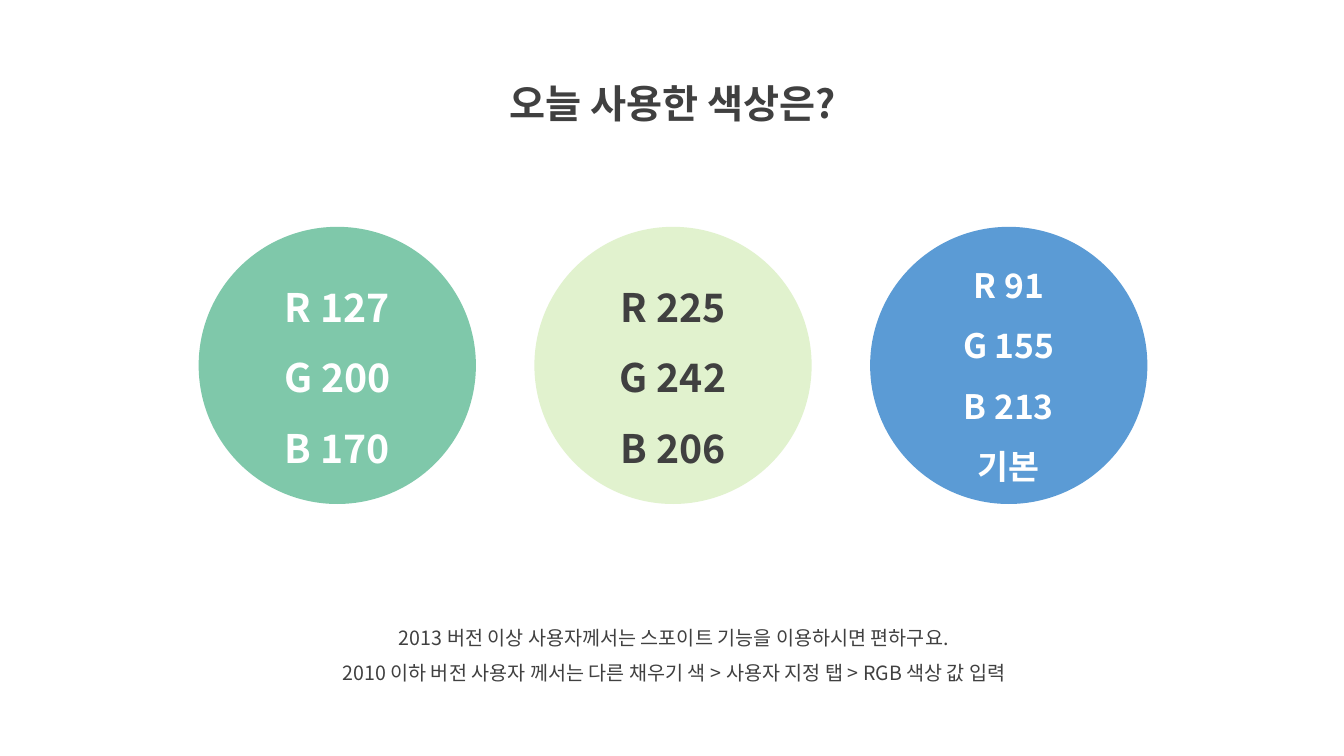
"""Build a slide that lists the RGB values of three colours."""
import dataclasses

import pptx
import pptx.dml.color
import pptx.enum.shapes
import pptx.enum.text
import pptx.oxml
import pptx.oxml.ns
import pptx.util

PX = 9144
FONT = "Noto Sans CJK KR"
DARK = "404040"
WHITE = "FFFFFF"
CIRCLE_LEFT, CIRCLE_TOP, CIRCLE_SIZE, CIRCLE_PITCH = 197, 225, 275, 333


@dataclasses.dataclass(frozen=True)
class Swatch:
    fill: str
    text_color: str
    size: int
    lines: tuple[str, ...]


SWATCHES = (
    Swatch("7FC8AA", WHITE, 28, ("R 127", "G 200", "B 170")),
    Swatch("E1F2CE", DARK, 28, ("R 225", "G 242", "B 206")),
    Swatch("5B9BD5", WHITE, 24, ("R 91", "G 155", "B 213", "기본")),
)
TITLE = "오늘 사용한 색상은?"
NOTES = (
    "2013 버전 이상 사용자께서는 스포이트 기능을 이용하시면 편하구요.",
    "2010 이하 버전 사용자 께서는 다른 채우기 색 > 사용자 지정 탭 > RGB 색상 값 입력",
)


def px(n: int) -> pptx.util.Emu:
    """Convert px to EMU."""
    return pptx.util.Emu(n * PX)


def rgb(color: str) -> pptx.dml.color.RGBColor:
    """Convert a hex string to a colour."""
    return pptx.dml.color.RGBColor.from_string(color)


def write(sp, lines: tuple[str, ...], size: int, color: str, bold: bool,
          anchor: pptx.enum.text.MSO_ANCHOR) -> None:
    """Fill a shape with centred lines of text."""
    tf = sp.text_frame
    tf.text = "\n".join(lines)
    tf.word_wrap = True
    tf.vertical_anchor = anchor
    tf.auto_size = pptx.enum.text.MSO_AUTO_SIZE.NONE
    for p in tf.paragraphs:
        p.alignment = pptx.enum.text.PP_ALIGN.CENTER
        p.line_spacing = 1.5
        for r in p.runs:
            r.font.name = FONT
            r.font.size = pptx.util.Pt(size)
            r.font.bold = bold
            r.font.color.rgb = rgb(color)
            ea = pptx.oxml.parse_xml(
                f'<a:ea {pptx.oxml.ns.nsdecls("a")} typeface="{FONT}"/>')
            r.font._element.append(ea)


def add_swatch(s, swatch: Swatch, left: int) -> None:
    """Draw one coloured circle with its values."""
    sp = s.shapes.add_shape(pptx.enum.shapes.MSO_SHAPE.OVAL, px(left), px(CIRCLE_TOP),
                            px(CIRCLE_SIZE), px(CIRCLE_SIZE))
    sp.shadow.inherit = False
    sp.fill.solid()
    sp.fill.fore_color.rgb = rgb(swatch.fill)
    sp.line.fill.background()
    write(sp, swatch.lines, swatch.size, swatch.text_color, True,
          pptx.enum.text.MSO_ANCHOR.MIDDLE)


def main() -> None:
    """Build and save the slide."""
    prs = pptx.Presentation()
    prs.slide_width, prs.slide_height = px(1333), px(750)
    s = prs.slides.add_slide(prs.slide_layouts.get_by_name("Title Only"))
    top = pptx.enum.text.MSO_ANCHOR.TOP

    title = s.shapes.title
    title.left, title.top, title.width, title.height = map(px, (436, 50, 463, 72))
    write(title, (TITLE,), 28, DARK, True, top)

    notes = s.shapes.add_textbox(*map(px, (269, 604, 799, 81)))
    write(notes, NOTES, 14, DARK, False, top)

    for i, swatch in enumerate(SWATCHES):
        add_swatch(s, swatch, CIRCLE_LEFT + i * CIRCLE_PITCH)

    prs.save("out.pptx")


if __name__ == "__main__":
    main()
